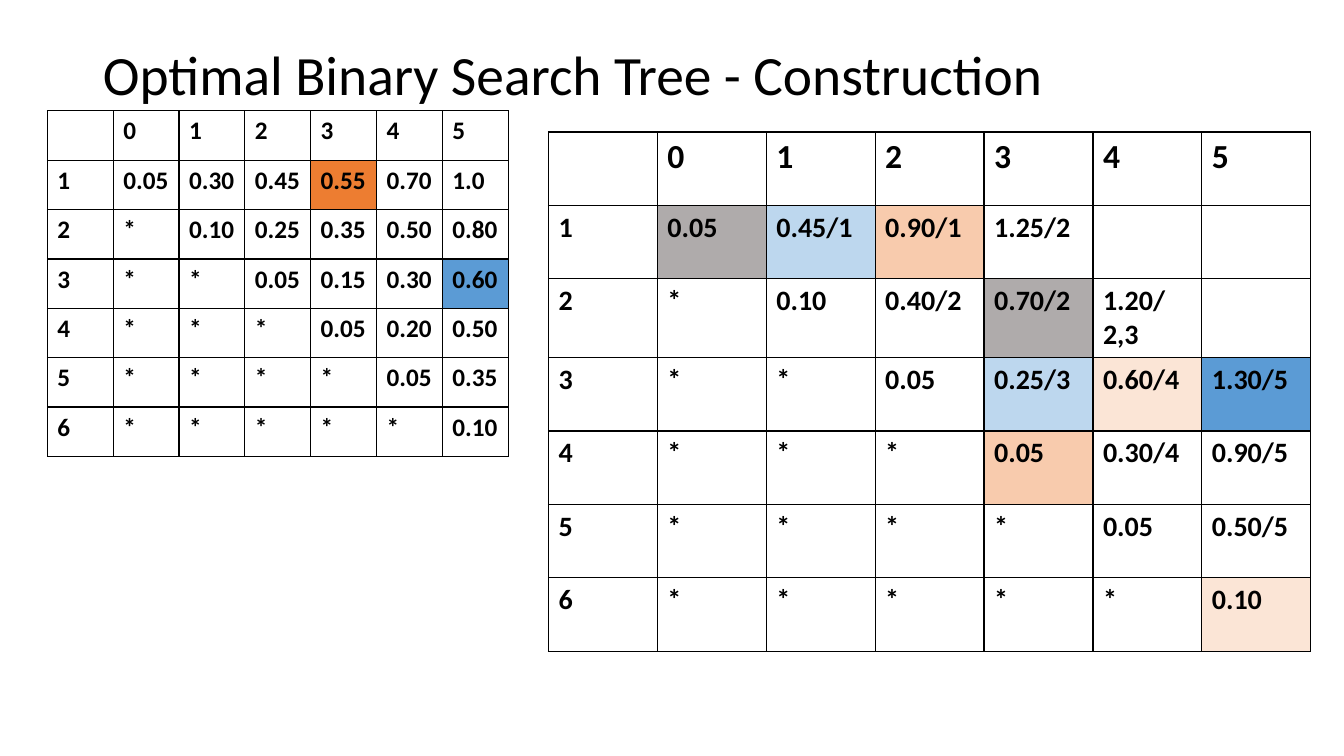
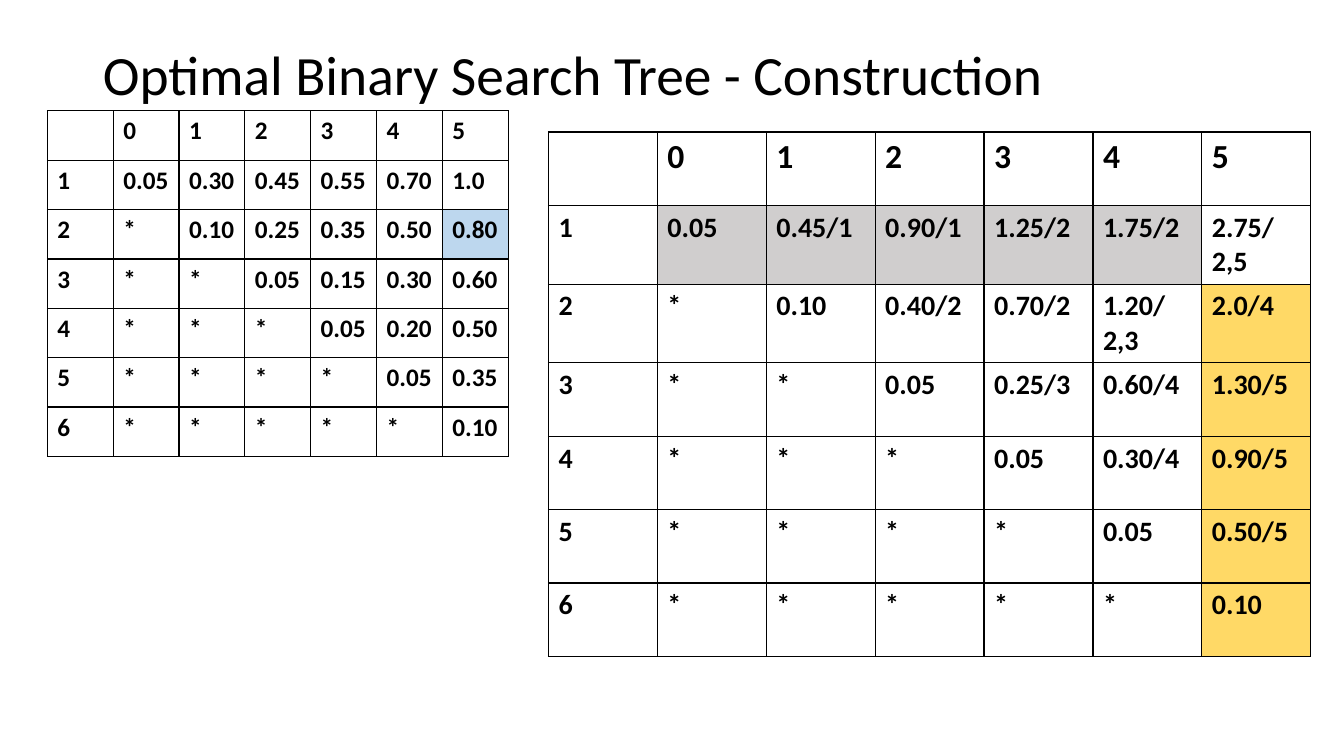
from lxml import etree
from pptx import Presentation
from pptx.dml.color import RGBColor
from pptx.enum.text import MSO_ANCHOR, MSO_AUTO_SIZE, PP_ALIGN
from pptx.oxml.ns import qn
from pptx.util import Inches, Pt

LEFT = PP_ALIGN.LEFT
MIDDLE = MSO_ANCHOR.MIDDLE
NO_AUTOFIT = MSO_AUTO_SIZE.NONE
TITLE_ONLY = 5

FONT = "Calibri"
TITLE = "Optimal Binary Search Tree - Construction"
COLORS = {
    "black": "000000",
    "white": "FFFFFF",
    "orange": "ED7D31",
    "peach": "F8CBAD",
    "pale peach": "FBE5D6",
    "blue": "5B9BD5",
    "light blue": "BDD7EE",
    "gray": "AFABAB",
    "light gray": "D0CECE",
    "gold": "FFD966",
}

# Each row lists the entries on and above the diagonal.
WEIGHTS = [
    ["0.05", "0.30", "0.45", "0.55", "0.70", "1.0"],
    ["0.10", "0.25", "0.35", "0.50", "0.80"],
    ["0.05", "0.15", "0.30", "0.60"],
    ["0.05", "0.20", "0.50"],
    ["0.05", "0.35"],
    ["0.10"],
]
COSTS = [
    ["0.05", "0.45/1", "0.90/1", "1.25/2", "1.75/2", "2.75/ 2,5"],
    ["0.10", "0.40/2", "0.70/2", "1.20/ 2,3", "2.0/4"],
    ["0.05", "0.25/3", "0.60/4", "1.30/5"],
    ["0.05", "0.30/4", "0.90/5"],
    ["0.05", "0.50/5"],
    ["0.10"],
]

# Highlights are keyed by the row and column labels of the tables.
STEPS = [
    {
        "weight_fills": {(1, 3): "orange", (3, 5): "blue"},
        "cost_fills": {
            (1, 0): "gray", (2, 3): "gray",
            (1, 1): "light blue", (3, 3): "light blue",
            (1, 2): "peach", (4, 3): "peach",
            (3, 4): "pale peach", (6, 5): "pale peach",
            (3, 5): "blue",
        },
        "pending": {(1, 4), (1, 5), (2, 5)},
    },
    {
        "weight_fills": {(2, 5): "light blue"},
        "cost_fills": {
            **{(1, column): "light gray" for column in range(5)},
            **{(row, 5): "gold" for row in range(2, 7)},
        },
        "pending": set(),
    },
]


def triangle_grid(entries, pending=()):
    """Return the labelled square grid, with stars below the diagonal."""
    size = len(entries)
    grid = [[""] + [str(column) for column in range(size)]]
    for row, values in enumerate(entries, start=1):
        cells = ["*"] * (row - 1) + values
        grid.append([str(row)] + ["" if (row, column) in pending else text
                                  for column, text in enumerate(cells)])
    return grid


class Deck:
    """Hold the shared style and the current slide."""

    def __init__(self):
        """Start an empty widescreen presentation."""
        self.presentation = Presentation()
        self.presentation.slide_width = Inches(13.33)
        self.presentation.slide_height = Inches(7.5)
        self.slide = None

    def color(self, name):
        """Return a named colour."""
        return RGBColor.from_string(COLORS[name])

    def style(self, paragraph, size, bold=False):
        """Give a paragraph the shared font and alignment."""
        paragraph.alignment = LEFT
        paragraph.font.name = FONT
        paragraph.font.size = Pt(size)
        paragraph.font.bold = bold
        paragraph.font.color.rgb = self.color("black")

    def add_slide(self, title):
        """Add a slide with its title."""
        layout = self.presentation.slide_layouts[TITLE_ONLY]
        self.slide = self.presentation.slides.add_slide(layout)
        shape = self.slide.shapes.title
        shape.left, shape.top = Inches(0.92), Inches(0.4)
        shape.width, shape.height = Inches(11.5), Inches(0.73)
        frame = shape.text_frame
        frame.text = title
        frame.auto_size = NO_AUTOFIT
        frame.vertical_anchor = MIDDLE
        paragraph = frame.paragraphs[0]
        paragraph.line_spacing = 0.9
        self.style(paragraph, 39.6)

    def add_borders(self, cell):
        """Draw a thin black line on each side of a cell."""
        properties = cell._tc.get_or_add_tcPr()
        for side in ("a:lnL", "a:lnR", "a:lnT", "a:lnB"):
            line = etree.SubElement(properties, qn(side), w=str(Pt(1)))
            fill = etree.SubElement(line, qn("a:solidFill"))
            etree.SubElement(fill, qn("a:srgbClr"), val=COLORS["black"])

    def add_grid(self, grid, box, fills, header_size, body_size):
        """Add a table of equal cells, with fills on highlighted entries."""
        frame = self.slide.shapes.add_table(
            len(grid), len(grid[0]), *[Inches(length) for length in box])
        table = frame.table
        table.first_row = False
        table.horz_banding = False
        for row, texts in enumerate(grid):
            for column, text in enumerate(texts):
                cell = table.cell(row, column)
                cell.text = text
                size = body_size if row else header_size
                self.style(cell.text_frame.paragraphs[0], size, bold=True)
                self.add_borders(cell)
                cell.fill.solid()
                name = fills.get((row, column - 1), "white")
                cell.fill.fore_color.rgb = self.color(name)


def main():
    """Build one slide for each construction step."""
    deck = Deck()
    for step in STEPS:
        deck.add_slide(TITLE)
        deck.add_grid(triangle_grid(WEIGHTS), (0.47, 1.1, 4.57, 3.43),
                      step["weight_fills"], 18, 18)
        deck.add_grid(triangle_grid(COSTS, step["pending"]),
                      (5.44, 1.31, 7.56, 5.1),
                      step["cost_fills"], 24, 20)
    deck.presentation.save("out.pptx")


main()
